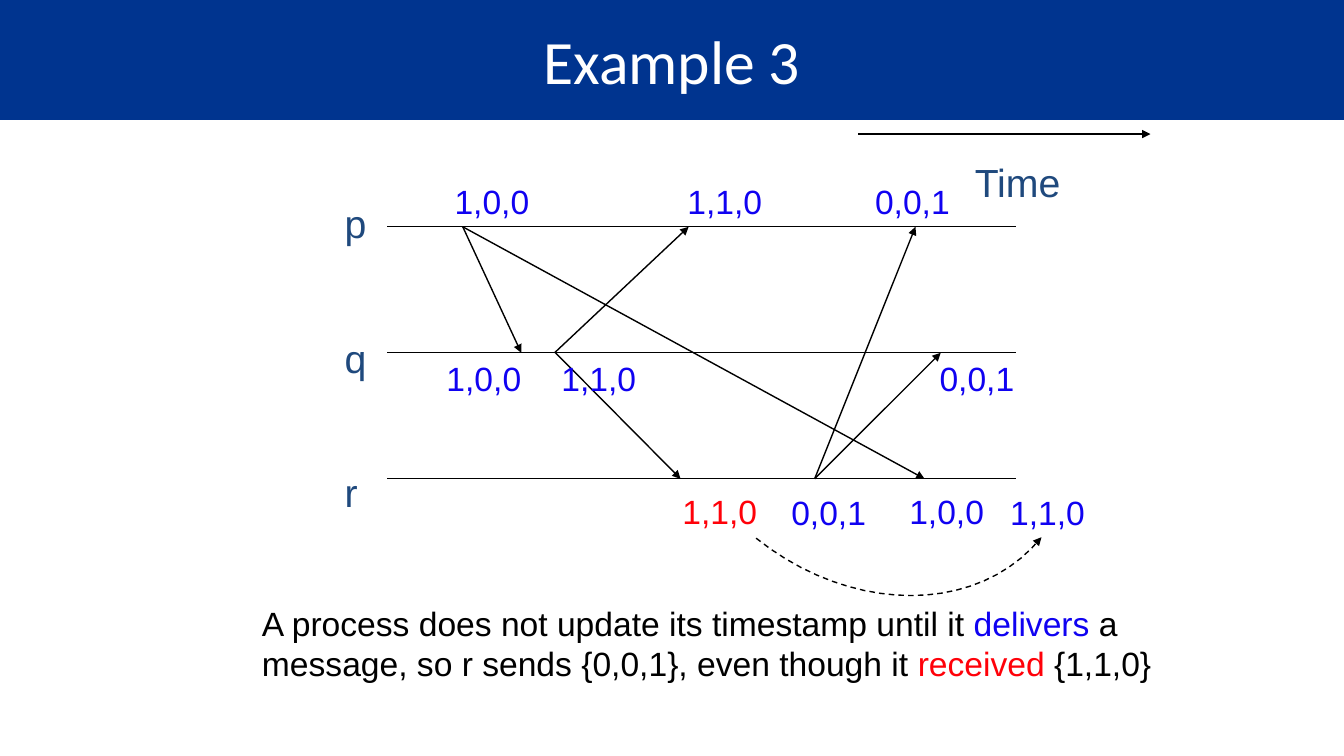
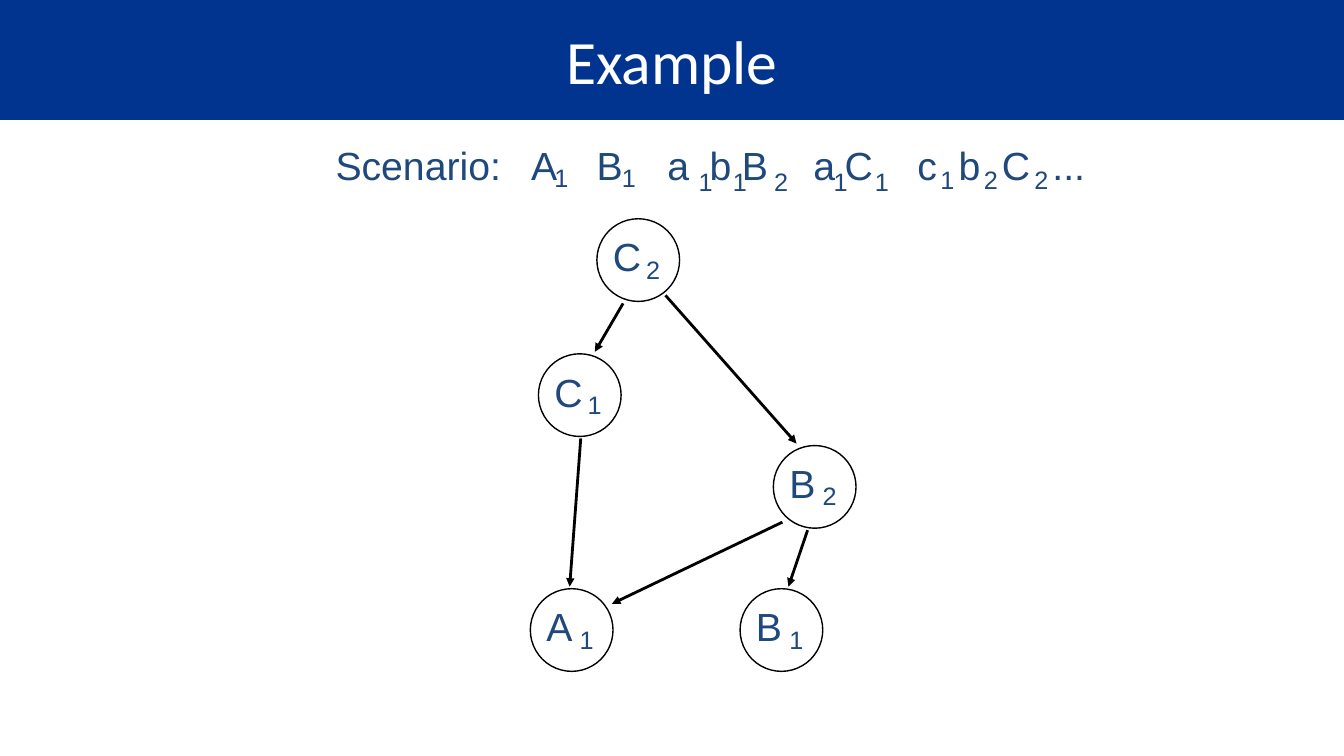
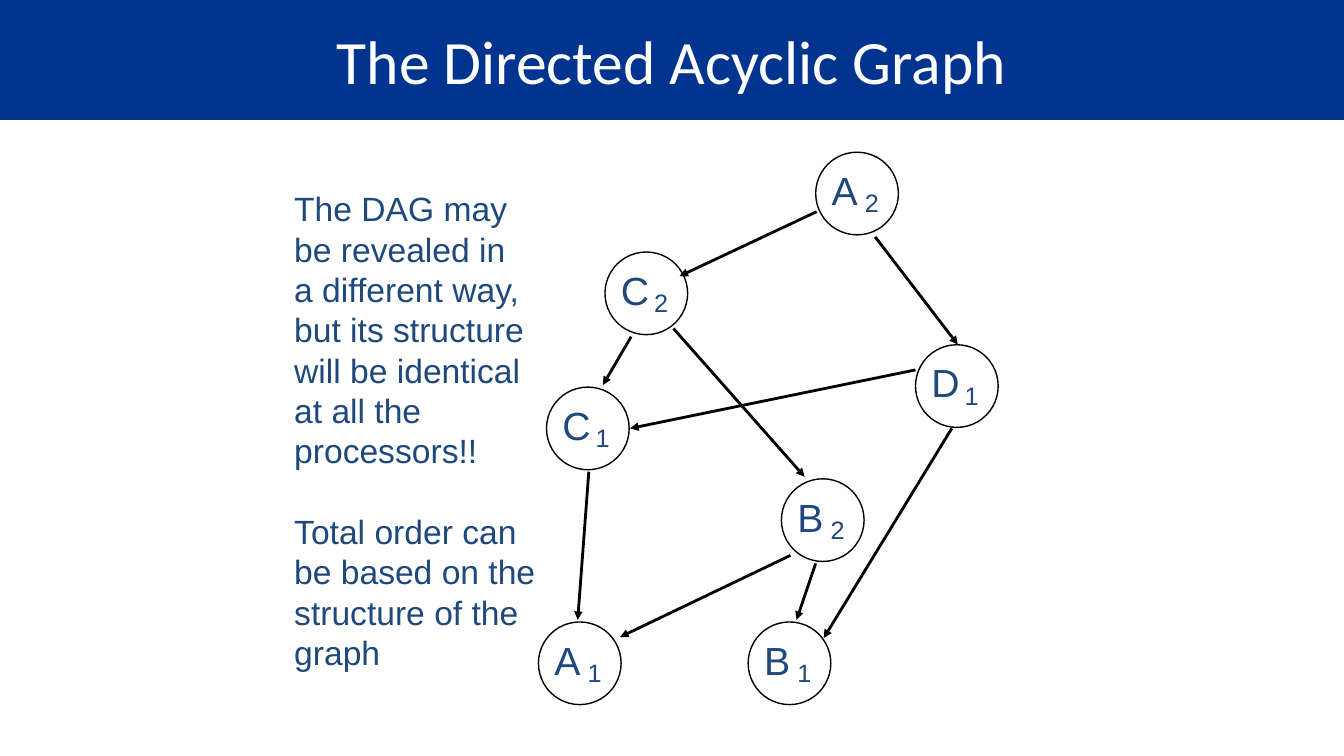
from dataclasses import dataclass

from lxml.etree import SubElement
from pptx import Presentation
from pptx.dml.color import RGBColor
from pptx.enum.dml import MSO_LINE
from pptx.enum.shapes import MSO_CONNECTOR, MSO_SHAPE
from pptx.enum.text import MSO_ANCHOR, PP_ALIGN
from pptx.oxml.ns import qn
from pptx.presentation import Presentation as Deck
from pptx.slide import Slide
from pptx.text.text import TextFrame
from pptx.util import Emu, Inches, Pt

BAND = RGBColor(0x00, 0x34, 0x8F)
WHITE = RGBColor(0xFF, 0xFF, 0xFF)
BLACK = RGBColor(0x00, 0x00, 0x00)
NAVY = RGBColor(0x1F, 0x49, 0x7D)
BLUE = RGBColor(0x10, 0x02, 0xF1)
RED = RGBColor(0xFF, 0x01, 0x09)

TITLE_FONT, BODY_FONT = "Calibri", "Arial"
LARGE, MEDIUM, SMALL = 28, 24, 18
LINE_HEIGHT = 1.2

# The page is a grid of one-inch columns and rows.
COLUMNS, ROWS, BAND_ROWS = 13.33, 7.5, 1.19
TIMELINE_LEFT, TIMELINE_RIGHT = 3.84, 10.08
TIMELINE_TOP, TIMELINE_GAP = 2.25, 1.25
NAME_LEFT, NAME_TOP, NAME_GAP = 3.32, 1.93, 1.335
NODE_SIZE = 0.82

Point = tuple[float, float]


@dataclass(frozen=True)
class Label:
    text: str
    left: float
    top: float
    width: float = 0.95
    size: int = MEDIUM
    color: RGBColor = BLUE


@dataclass(frozen=True)
class Arrow:
    start: Point
    end: Point


@dataclass(frozen=True)
class Node:
    letter: str
    index: str
    left: float
    top: float


@dataclass(frozen=True)
class Term:
    """A letter of the scenario: its tab stop and the place of its index."""
    letter: str
    tab: float
    index: str
    index_left: float
    index_top: float


PROCESSES = ("p", "q", "r")

TIMESTAMPS = (
    Label("1,0,0", 4.41, 1.75), Label("1,1,0", 6.72, 1.75), Label("0,0,1", 8.58, 1.75),
    Label("1,0,0", 4.33, 3.5), Label("1,1,0", 5.47, 3.5), Label("0,0,1", 9.22, 3.5),
    Label("1,1,0", 6.67, 4.82, color=RED), Label("0,0,1", 7.75, 4.83),
    Label("1,0,0", 8.92, 4.82), Label("1,1,0", 9.92, 4.83),
)

# Each message: sending process and column, receiving process and column.
MESSAGES = (
    ("p", 4.59, "q", 5.17), ("p", 4.59, "r", 9.17),
    ("q", 5.51, "r", 6.75), ("q", 5.5, "p", 6.83),
    ("r", 8.08, "p", 9.08), ("r", 8.08, "q", 9.33),
)

DELAY_CURVE = ((7.5, 5.34), (8.45, 6.1), (9.71, 6.1), (10.33, 5.33))

CONCLUSION = (
    ("A process does not update its timestamp until it ", BLACK),
    ("delivers", BLUE),
    (" a message, so r sends {0,0,1}, even though it ", BLACK),
    ("received", RED),
    (" {1,1,0}", BLACK),
)

TERMS = (
    Term("A", 1.94, "1", 5.4, 1.56), Term("B", 2.59, "1", 6.07, 1.56),
    Term("a", 3.29, "1", 6.83, 1.6), Term("b", 3.71, "1", 7.17, 1.6),
    Term("B", 4.03, "2", 7.58, 1.6), Term("a", 4.74, "1", 8.17, 1.6),
    Term("C", 5.05, "1", 8.58, 1.6), Term("c", 5.77, "1", 9.23, 1.58),
    Term("b", 6.18, "2", 9.66, 1.58), Term("C", 6.61, "2", 10.16, 1.58),
)
ELLIPSIS_TAB = 7.11

SHARED_NODES = (
    Node("C", "2", 5.92, 2.17), Node("C", "1", 5.34, 3.51), Node("B", "2", 7.67, 4.42),
    Node("B", "1", 7.34, 5.84), Node("A", "1", 5.26, 5.84),
)
SHARED_EDGES = (
    Arrow((6.18, 3.01), (5.9, 3.49)), Arrow((5.76, 4.35), (5.65, 5.82)),
    Arrow((6.6, 2.93), (7.9, 4.4)), Arrow((7.76, 5.18), (6.07, 5.99)),
    Arrow((8.01, 5.26), (7.82, 5.82)),
)
GRAPH_SHIFT = (0.08, 0.33)
ADDED_NODES = (Node("D", "1", 9.08, 3.42), Node("A", "2", 8.09, 1.51))
ADDED_EDGES = (
    Arrow((8.1, 2.1), (6.74, 2.74)), Arrow((8.68, 2.35), (9.5, 3.42)),
    Arrow((9.44, 4.25), (8.17, 6.33)), Arrow((9.08, 3.67), (6.25, 4.25)),
)

REMARKS = (
    ("The DAG may", "be revealed in", "a different way,", "but its structure",
     "will be identical", "at all the", "processors!!"),
    ("Total order can", "be based on the", "structure of the", "graph"),
)


def add_page(deck: Deck, title: str) -> Slide:
    page = deck.slides.add_slide(deck.slide_layouts.get_by_name("Title Only"))
    band = page.shapes.title
    band.left = band.top = 0
    band.width, band.height = Inches(COLUMNS), Inches(BAND_ROWS)
    band.fill.solid()
    band.fill.fore_color.rgb = BAND
    band.text_frame.vertical_anchor = MSO_ANCHOR.MIDDLE
    band.text_frame.text = title
    para = band.text_frame.paragraphs[0]
    para.alignment = PP_ALIGN.CENTER
    para.font.name, para.font.size = TITLE_FONT, Pt(44)
    para.font.color.rgb = WHITE
    return page


def add_text(page: Slide, left: float, top: float, width: float, height: float,
             wrap: bool = True) -> TextFrame:
    box = page.shapes.add_textbox(Inches(left), Inches(top), Inches(width), Inches(height))
    box.text_frame.word_wrap = wrap
    return box.text_frame


def style(frame: TextFrame, size: int, color: RGBColor = NAVY) -> None:
    for para in frame.paragraphs:
        para.line_spacing = Pt(size * LINE_HEIGHT)
        para.font.name, para.font.size = BODY_FONT, Pt(size)
        para.font.color.rgb = color


def add_label(page: Slide, label: Label) -> None:
    height = label.size * LINE_HEIGHT / 72 + 0.1
    frame = add_text(page, label.left, label.top, label.width, height, wrap=False)
    frame.text = label.text
    style(frame, label.size, label.color)


def add_index(page: Slide, index: str, left: float, top: float) -> None:
    add_label(page, Label(index, left, top, 0.34, SMALL, NAVY))


def add_arrowhead(shape) -> None:
    SubElement(shape.line._get_or_add_ln(), qn("a:tailEnd"), type="triangle")


def add_line(page: Slide, start: Point, end: Point, weight: float = 1,
             arrow: bool = True) -> None:
    ends = (Inches(value) for value in (*start, *end))
    line = page.shapes.add_connector(MSO_CONNECTOR.STRAIGHT, *ends)
    line.line.color.rgb = BLACK
    line.line.width = Pt(weight)
    if arrow:
        add_arrowhead(line)
    SubElement(line._element.spPr, qn("a:effectLst"))


def add_dashed_curve(page: Slide, controls: tuple[Point, ...], steps: int = 20) -> None:
    """Draw a cubic Bézier curve as a dashed arrow."""
    points = []
    for step in range(steps + 1):
        t = step / steps
        weights = ((1 - t) ** 3, 3 * t * (1 - t) ** 2, 3 * t * t * (1 - t), t ** 3)
        points.append(tuple(
            Inches(sum(weight * point[axis] for weight, point in zip(weights, controls)))
            for axis in (0, 1)))
    builder = page.shapes.build_freeform(*points[0])
    builder.add_line_segments(points[1:], close=False)
    curve = builder.convert_to_shape(Emu(0), Emu(0))
    curve.shadow.inherit = False
    curve.fill.background()
    curve.line.color.rgb = BLACK
    curve.line.width = Pt(1)
    curve.line.dash_style = MSO_LINE.DASH
    add_arrowhead(curve)


def add_node(page: Slide, node: Node, shift: Point = (0, 0)) -> None:
    left, top = node.left + shift[0], node.top + shift[1]
    circle = page.shapes.add_shape(MSO_SHAPE.OVAL, Inches(left), Inches(top),
                                   Inches(NODE_SIZE), Inches(NODE_SIZE))
    circle.shadow.inherit = False
    circle.fill.background()
    circle.line.color.rgb = BLACK
    circle.line.width = Pt(1)
    add_label(page, Label(node.letter, left + 0.06, top + 0.09, 0.47, LARGE, NAVY))
    add_index(page, node.index, left + 0.39, top + 0.3)


def add_graph(page: Slide, nodes: tuple[Node, ...], edges: tuple[Arrow, ...],
              shift: Point = (0, 0)) -> None:
    for node in nodes:
        add_node(page, node, shift)
    for edge in edges:
        start, end = ((x + shift[0], y + shift[1]) for x, y in (edge.start, edge.end))
        add_line(page, start, end, weight=2)


def add_scenario(page: Slide) -> None:
    frame = add_text(page, 3.23, 1.35, 7.9, 0.57)
    frame.text = "\t".join(("Scenario:", *(term.letter for term in TERMS), "..."))
    style(frame, LARGE)
    stops = SubElement(frame.paragraphs[0]._p.get_or_add_pPr(), qn("a:tabLst"))
    # Tab stops come before the default run properties.
    defaults = stops.getparent().find(qn("a:defRPr"))
    if defaults is not None:
        defaults.addprevious(stops)
    for tab in (*(term.tab for term in TERMS), ELLIPSIS_TAB):
        SubElement(stops, qn("a:tab"), pos=str(Inches(tab)), algn="l")
    for term in TERMS:
        add_index(page, term.index, term.index_left, term.index_top)


def add_timeline_page(deck: Deck) -> None:
    page = add_page(deck, "Example 3")
    rows = {name: TIMELINE_TOP + TIMELINE_GAP * number
            for number, name in enumerate(PROCESSES)}
    for number, (name, row) in enumerate(rows.items()):
        add_line(page, (TIMELINE_LEFT, row), (TIMELINE_RIGHT, row), arrow=False)
        name_top = NAME_TOP + NAME_GAP * number
        add_label(page, Label(name, NAME_LEFT, name_top, 0.42 if name != "r" else 0.33,
                              LARGE, NAVY))
    add_line(page, (8.51, 1.33), (11.41, 1.33))
    add_label(page, Label("Time", 9.57, 1.52, 1.06, LARGE, NAVY))
    for sender, sent, receiver, received in MESSAGES:
        add_line(page, (sent, rows[sender]), (received, rows[receiver]))
    for timestamp in TIMESTAMPS:
        add_label(page, timestamp)
    add_dashed_curve(page, DELAY_CURVE)
    frame = add_text(page, 2.5, 5.93, 9.17, 0.91)
    for text, color in CONCLUSION:
        span = frame.paragraphs[0].add_run()
        span.text = text
        span.font.color.rgb = color
    style(frame, MEDIUM, BLACK)


def add_scenario_page(deck: Deck) -> None:
    page = add_page(deck, "Example")
    add_scenario(page)
    add_graph(page, SHARED_NODES, SHARED_EDGES)


def add_full_graph_page(deck: Deck) -> None:
    page = add_page(deck, "The Directed Acyclic Graph")
    add_graph(page, SHARED_NODES, SHARED_EDGES, GRAPH_SHIFT)
    add_graph(page, ADDED_NODES, ADDED_EDGES)
    frame = add_text(page, 2.82, 1.82, 2.63, 4.94, wrap=False)
    frame.text = "\n".join("\v".join(lines) for lines in REMARKS)
    style(frame, MEDIUM)
    frame.paragraphs[1].space_before = Pt(MEDIUM * LINE_HEIGHT)


def main() -> None:
    deck = Presentation()
    deck.slide_width, deck.slide_height = Inches(COLUMNS), Inches(ROWS)
    add_timeline_page(deck)
    add_scenario_page(deck)
    add_full_graph_page(deck)
    deck.save("out.pptx")


if __name__ == "__main__":
    main()
